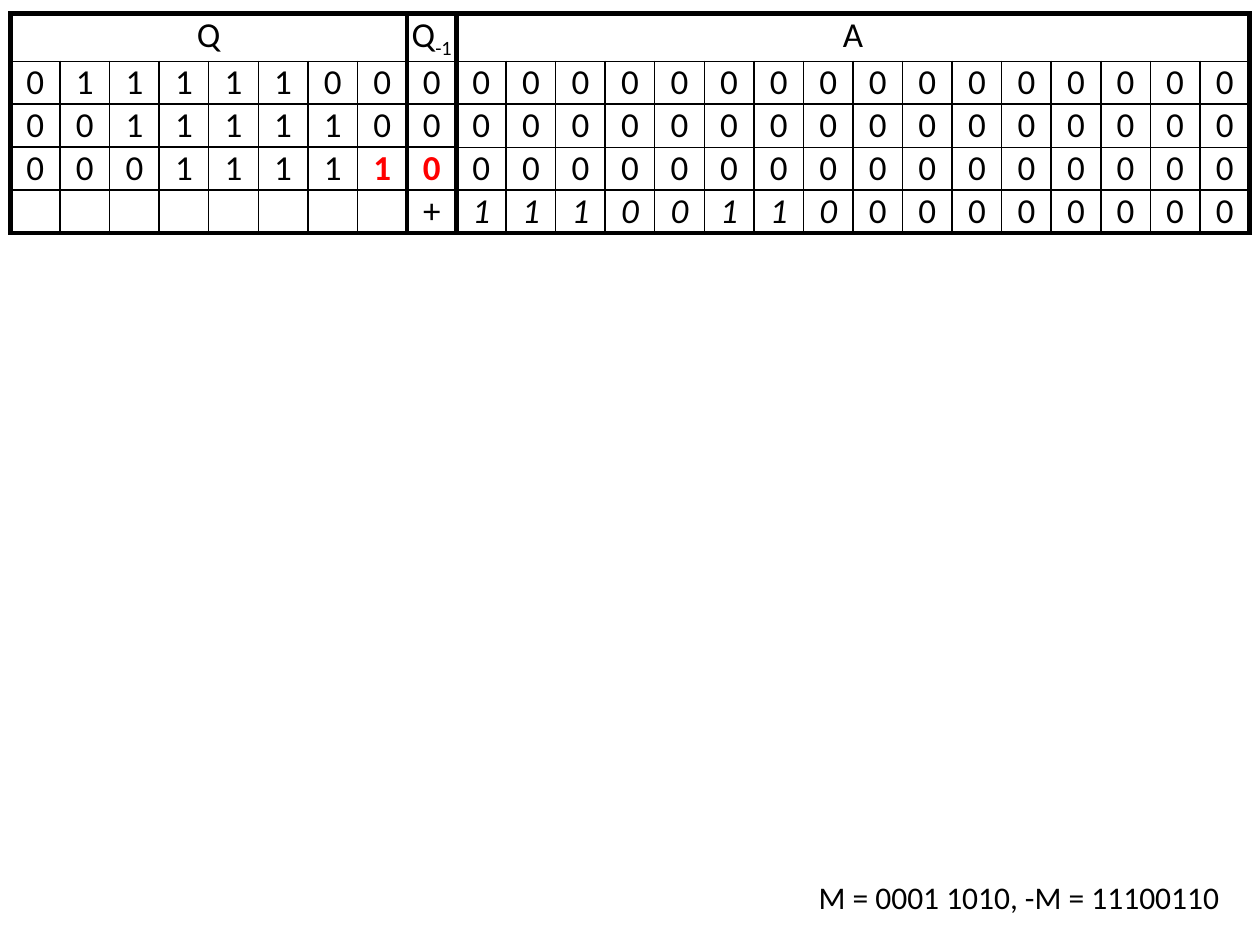
"""Build a slide with the register table of a Booth multiplication."""
from lxml import etree
from pptx import Presentation
from pptx.dml.color import RGBColor
from pptx.enum.text import MSO_AUTO_SIZE, PP_ALIGN
from pptx.oxml.ns import qn
from pptx.util import Pt

CENTER = PP_ALIGN.CENTER
RIGHT = PP_ALIGN.RIGHT
FIT_SHAPE = MSO_AUTO_SIZE.SHAPE_TO_FIT_TEXT
COLORS = {"ink": "000000", "mark": "FF0000"}
FONT = "Calibri"
GROUP_EDGES = (0, 8, 9, 25)
HEADERS = ([("Q", {})], [("Q", {}), ("-1", {"baseline": -25000})], [("A", {})])
STEPS = (
    "01111100" "0" "0000000000000000",
    "00111110" "0" "0000000000000000",
    "00011111" "0" "0000000000000000",
    "        " "+" "1110011000000000",
)
MARKED = ((3, 7), (3, 8))
ITALIC_ROW, ITALIC_COLUMNS = 4, range(9, 17)
THICK, THIN, HAIR = 3, 1, 0.75


def add_run(paragraph, text, size, color="ink", bold=False, italic=False, baseline=0):
    """Add one formatted run to a paragraph."""
    run = paragraph.add_run()
    run.text = text
    run.font.name = FONT
    run.font.size = Pt(size)
    run.font.bold = bold
    run.font.italic = italic
    run.font.color.rgb = RGBColor.from_string(COLORS[color])
    if baseline:
        run._r.get_or_add_rPr().set("baseline", str(baseline))


def vertical_width(edge):
    """Return the line width of a vertical grid edge."""
    return THICK if edge in GROUP_EDGES else THIN


def horizontal_width(edge, column):
    """Return the line width of a horizontal grid edge."""
    if edge in (0, len(STEPS) + 1):
        return THICK
    return HAIR if edge == 3 and column >= GROUP_EDGES[2] else THIN


def set_borders(cell, row, column, span):
    """Draw the four borders of a cell."""
    widths = {
        "a:lnL": vertical_width(column),
        "a:lnR": vertical_width(column + span),
        "a:lnT": horizontal_width(row, column),
        "a:lnB": horizontal_width(row + 1, column),
    }
    properties = cell._tc.get_or_add_tcPr()
    for index, (tag, width) in enumerate(widths.items()):
        line = etree.Element(qn(tag), w=str(Pt(width)))
        fill = etree.SubElement(line, qn("a:solidFill"))
        etree.SubElement(fill, qn("a:srgbClr"), val=COLORS["ink"])
        properties.insert(index, line)


def fill_cell(table, row, column, runs, span=1):
    """Format a cell and write its runs."""
    cell = table.cell(row, column)
    if span > 1:
        cell.merge(table.cell(row, column + span - 1))
    cell.margin_left = cell.margin_right = cell.margin_top = cell.margin_bottom = 0
    cell.fill.background()
    set_borders(cell, row, column, span)
    paragraph = cell.text_frame.paragraphs[0]
    paragraph.alignment = CENTER
    for text, style in runs:
        add_run(paragraph, text, 20, **style)


def digit_style(row, column):
    """Return the run style of a digit."""
    if (row, column) in MARKED:
        return {"color": "mark", "bold": True}
    return {"italic": row == ITALIC_ROW and column in ITALIC_COLUMNS}


def add_register_table(slide):
    """Add the table of registers Q, Q-1 and A."""
    rows, columns = len(STEPS) + 1, GROUP_EDGES[-1]
    frame = slide.shapes.add_table(rows, columns, Pt(6), Pt(7.8), Pt(708), Pt(23 * rows))
    table = frame.table
    table.first_row = table.horz_banding = False
    for column in table.columns:
        column.width = Pt(28.32)
    for start, end, runs in zip(GROUP_EDGES, GROUP_EDGES[1:], HEADERS):
        fill_cell(table, 0, start, runs, end - start)
    for row, step in enumerate(STEPS, 1):
        for column, digit in enumerate(step):
            runs = [(digit, digit_style(row, column))] if digit.strip() else []
            fill_cell(table, row, column, runs)


def add_note(slide, text):
    """Add the right-aligned line with the multiplicand."""
    text_frame = slide.shapes.add_textbox(Pt(432), Pt(498.24), Pt(276), Pt(29)).text_frame
    text_frame.word_wrap = True
    text_frame.auto_size = FIT_SHAPE
    paragraph = text_frame.paragraphs[0]
    paragraph.alignment = RIGHT
    add_run(paragraph, text, 18)


def main():
    """Build and save the presentation."""
    presentation = Presentation()
    presentation.slide_width, presentation.slide_height = Pt(720), Pt(540)
    slide = presentation.slides.add_slide(presentation.slide_layouts[6])
    add_register_table(slide)
    add_note(slide, "M = 0001 1010, -M = 11100110 ")
    presentation.save("out.pptx")


main()
